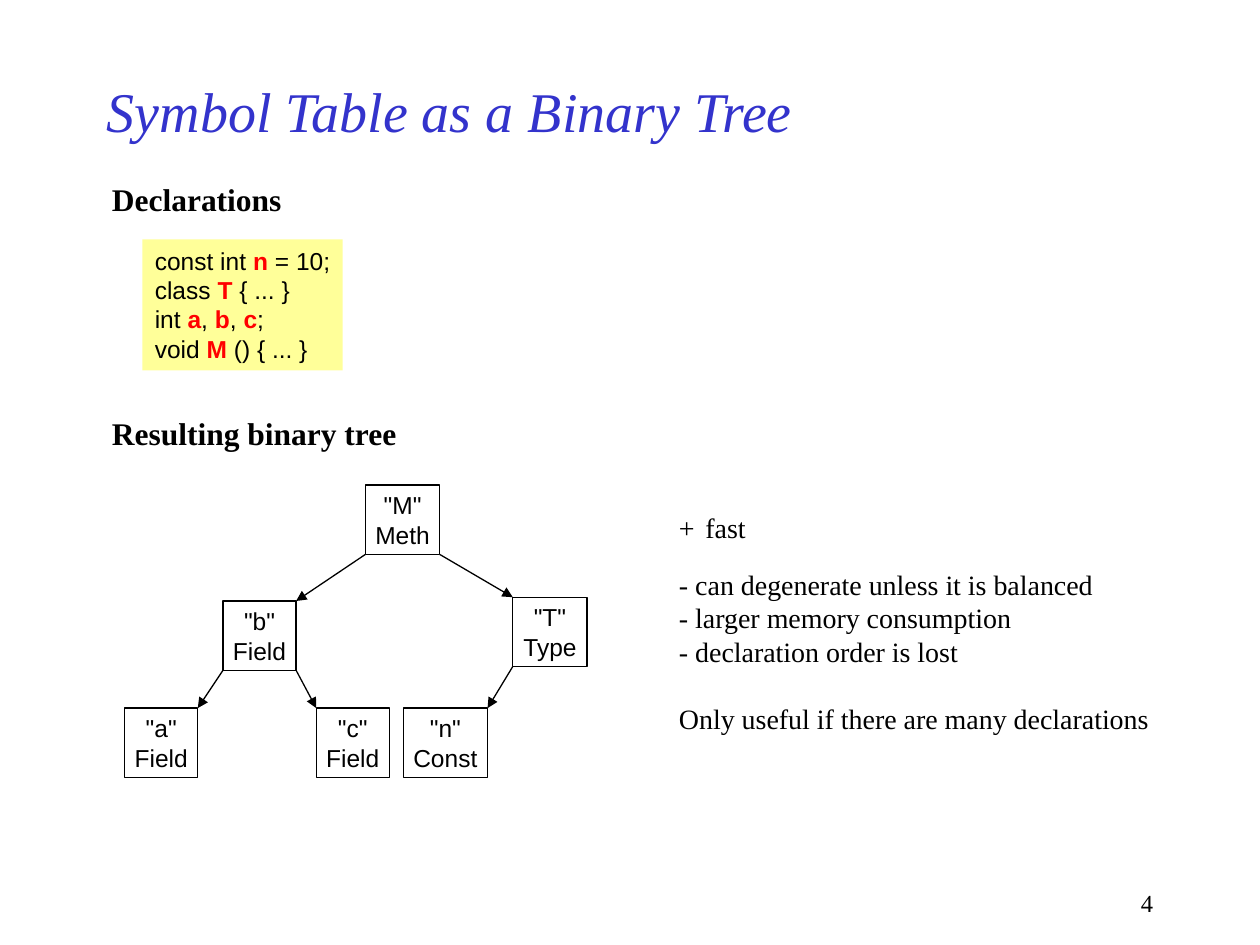
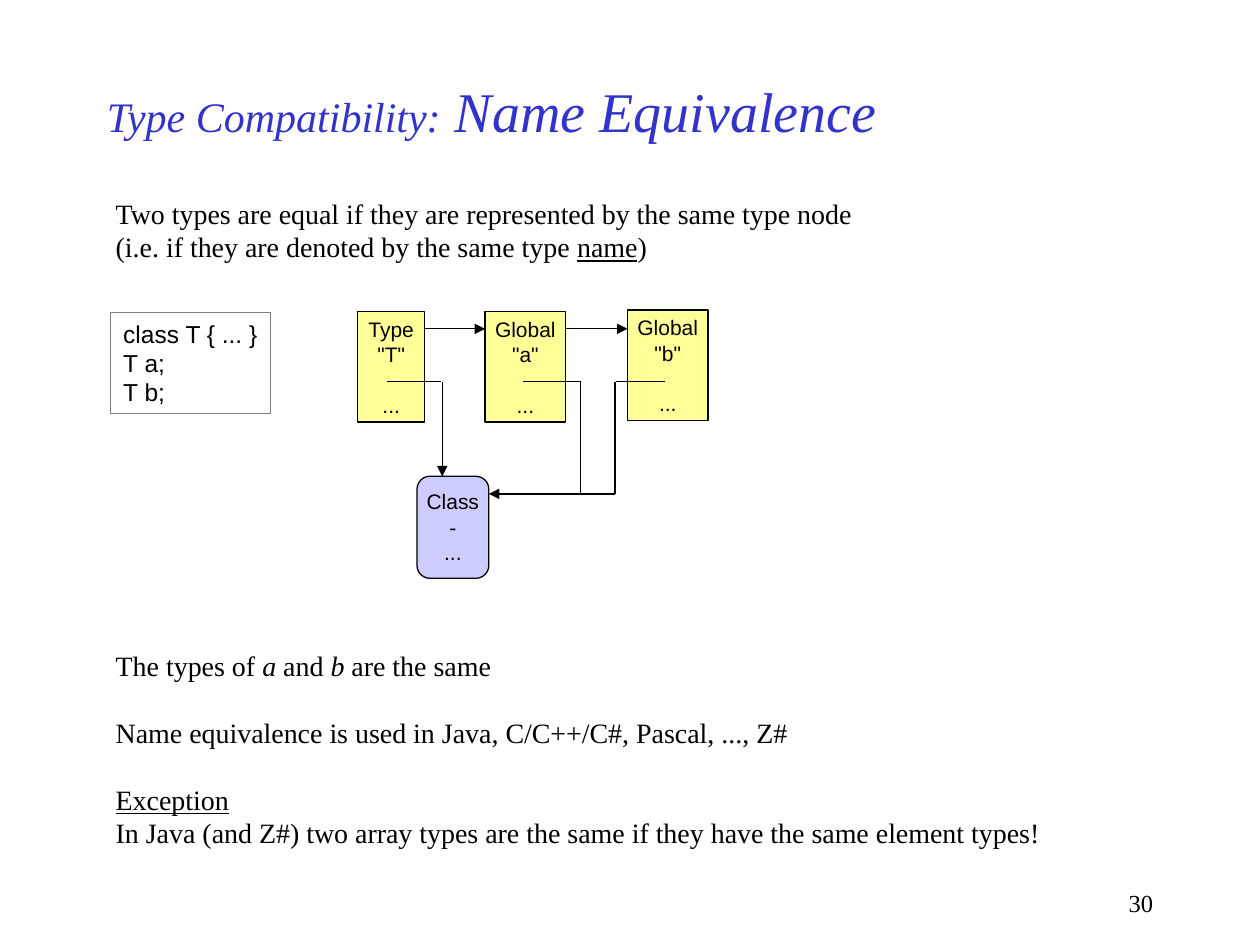
from lxml.etree import SubElement
from pptx import Presentation
from pptx.dml.color import RGBColor
from pptx.enum.shapes import MSO_CONNECTOR as Connector, MSO_SHAPE as Preset
from pptx.enum.text import MSO_ANCHOR as Anchor, PP_ALIGN as Align
from pptx.oxml.ns import qn
from pptx.util import Inches, Pt

WIDTH, HEIGHT = 10, 7.5
SERIF, SANS = "Times New Roman", "Arial"
COLORS = {"title": "3333CC", "text": "000000", "key": "FF0000", "code": "FFFF99",
          "class": "CCCCFF", "frame": "808080"}

KEY = {"bold": True, "color": "key"}
ITALIC = {"italic": True}
UNDERLINE = {"underline": True}
LARGE = {"size": 32}
HEADING = {"size": 18, "bold": True}
CODE = {"size": 14, "font": SANS}
NODE = {"size": 14, "font": SANS, "align": Align.CENTER, "insets": (0.08, 0.04)}
SYMBOL = {**NODE, "size": 12}

TREE_TITLE = ["Symbol Table as a Binary Tree"]
DECLARATIONS = [
    ["const int ", ("n", KEY), " = 10;"],
    ["class ", ("T", KEY), " { ... }"],
    ["int ", ("a", KEY), ", ", ("b", KEY), ", ", ("c", KEY), ";"],
    ["void ", ("M ", KEY), "() { ... }"],
]
ASSESSMENT = ["+\tfast", "- can degenerate unless it is balanced", "- larger memory consumption",
              "- declaration order is lost", "Only useful if there are many declarations"]
NODE_HEIGHT = 0.55
TREE_NODES = {
    "n": ("Const", 3.2, 5.62, 0.67),
    "M": ("Meth", 2.9, 3.85, 0.59),
    "b": ("Field", 1.77, 4.77, 0.58),
    "c": ("Field", 2.51, 5.62, 0.58),
    "a": ("Field", 0.99, 5.62, 0.58),
    "T": ("Type", 4.07, 4.74, 0.59),
}
TREE_EDGES = ["ba", "bc", "Tn", "Mb", "MT"]

NAME_TITLE = [["Type Compatibility:", (" Name Equivalence", LARGE)]]
RULE = ["Two types are equal if they are represented by the same type node",
        ["(i.e. if they are denoted by the same type ", ("name", UNDERLINE), ")"]]
CLASS_CODE = ["class T { ... }", "T a;", "T b;"]
CONCLUSIONS = [
    ["The types of ", ("a", ITALIC), " and ", ("b", ITALIC), " are the same"],
    "Name equivalence is used in Java, C/C++/C#, Pascal, ..., Z#",
    [("Exception", UNDERLINE)],
    "In Java (and Z#) two array types are the same if they have the same element types!",
]
SYMBOLS = [("Type", "T", 2.84, 2.47, 0.53), ("Global", "a", 3.85, 2.47, 0.64),
           ("Global", "b", 4.98, 2.46, 0.64)]
SYMBOL_HEIGHT = 0.88
CLASS_BOX = (3.31, 3.78, 0.57, 0.81)
NEXT_Y, TYPE_Y, JOIN_Y = 2.61, 3.03, 3.92
TYPE_LINKS = [
    [(3.07, TYPE_Y), (3.5, TYPE_Y)],
    [(3.51, TYPE_Y), (3.51, CLASS_BOX[1])],
    [(4.15, TYPE_Y), (4.61, TYPE_Y)],
    [(4.61, TYPE_Y), (4.61, JOIN_Y)],
    [(4.89, TYPE_Y), (5.28, TYPE_Y)],
    [(4.88, TYPE_Y), (4.88, JOIN_Y)],
    [(4.88, JOIN_Y), (3.88, JOIN_Y)],
]
ARROW_LINKS = (1, 6)


def rgb(name):
    return RGBColor.from_string(COLORS[name])


def format_run(run, size, font, color, bold=False, italic=False, underline=False):
    run.font.size = Pt(size)
    run.font.name = font
    run.font.color.rgb = rgb(color)
    run.font.bold, run.font.italic, run.font.underline = bold, italic, underline


def write(shape, lines, align=Align.LEFT, anchor=Anchor.TOP, insets=(0.1, 0.05), wrap=False,
          gaps=None, tab=None, size=16, font=SERIF, color="text", **style):
    frame = shape.text_frame
    frame.word_wrap = wrap
    frame.vertical_anchor = anchor
    frame.margin_left = frame.margin_right = Inches(insets[0])
    frame.margin_top = frame.margin_bottom = Inches(insets[1])
    for index, line in enumerate(lines):
        paragraph = frame.add_paragraph() if index else frame.paragraphs[0]
        paragraph.alignment = align
        paragraph.space_before = Pt((gaps or {}).get(index, 0))
        if tab:
            tabs = SubElement(paragraph._p.get_or_add_pPr(), qn("a:tabLst"))
            SubElement(tabs, qn("a:tab"), pos=str(Inches(tab)), algn="l")
        for piece in [line] if isinstance(line, str) else line:
            text, special = (piece, {}) if isinstance(piece, str) else piece
            run = paragraph.add_run()
            run.text = text
            format_run(run, **{"size": size, "font": font, "color": color, **style, **special})


def add_text(slide, box, lines, **style):
    write(slide.shapes.add_textbox(*map(Inches, box)), lines, wrap=True, **style)


def add_box(slide, box, lines, fill=None, line="text", preset=Preset.RECTANGLE, **style):
    shape = slide.shapes.add_shape(preset, *map(Inches, box))
    shape.shadow.inherit = False
    if fill:
        shape.fill.solid()
        shape.fill.fore_color.rgb = rgb(fill)
    else:
        shape.fill.background()
    if line:
        shape.line.color.rgb = rgb(line)
        shape.line.width = Pt(0.75)
    else:
        shape.line.fill.background()
    write(shape, lines, **style)
    return shape


def add_line(slide, start, end, arrow=True):
    line = slide.shapes.add_connector(Connector.STRAIGHT, *map(Inches, (*start, *end)))
    line.line.color.rgb = rgb("text")
    line.line.width = Pt(0.75)
    if arrow:
        SubElement(line.line._get_or_add_ln(), qn("a:tailEnd"), type="triangle")
    SubElement(line._element.spPr, qn("a:effectLst"))


def add_slide(presentation, title, number, title_size):
    slide = presentation.slides.add_slide(presentation.slide_layouts[6])
    add_text(slide, (0.075 * WIDTH, 0.5, 0.75 * WIDTH, 0.1 * HEIGHT), title, size=title_size,
             color="title", italic=True, anchor=Anchor.MIDDLE)
    add_text(slide, (7.17, 7, 2.08, 0.33), [str(number)], size=14, align=Align.RIGHT)
    return slide


def add_edge(slide, parent, child):
    _, parent_x, parent_y, parent_width = TREE_NODES[parent]
    _, child_x, child_y, child_width = TREE_NODES[child]
    bottom = parent_y + NODE_HEIGHT
    if child_x < parent_x:
        add_line(slide, (parent_x, bottom), (child_x + child_width, child_y))
    else:
        add_line(slide, (parent_x + parent_width, bottom), (child_x, child_y))


def build_tree_slide(presentation):
    slide = add_slide(presentation, TREE_TITLE, 4, 32)
    add_text(slide, (0.79, 1.38, 1.65, 0.4), ["Declarations"], **HEADING)
    add_box(slide, (1.13, 1.9, 1.59, 1.04), DECLARATIONS, fill="code", line=None, **CODE)
    add_text(slide, (0.79, 3.24, 2.6, 0.4), ["Resulting binary tree"], **HEADING)
    add_text(slide, (5.29, 4, 4.05, 1.89), ASSESSMENT, gaps={1: 13.5, 4: 19}, tab=0.21)
    for name, (kind, x, y, width) in TREE_NODES.items():
        add_box(slide, (x, y, width, NODE_HEIGHT), [f'"{name}"', kind], **NODE)
    for parent, child in TREE_EDGES:
        add_edge(slide, parent, child)


def build_name_slide(presentation):
    slide = add_slide(presentation, NAME_TITLE, 30, 24)
    add_text(slide, (0.82, 1.51, 6.2, 0.64), RULE)
    add_text(slide, (0.82, 5.1, 7.7, 1.7), CONCLUSIONS, gaps={1: 19, 2: 19})
    add_box(slide, (0.88, 2.48, 1.27, 0.8), CLASS_CODE, line="frame", **CODE)
    for kind, name, x, y, width in SYMBOLS:
        add_box(slide, (x, y, width, SYMBOL_HEIGHT), [kind, f'"{name}"', "..."], fill="code",
                gaps={2: 14.5}, **SYMBOL)
    class_box = add_box(slide, CLASS_BOX, ["Class", "-", "..."], fill="class",
                        preset=Preset.ROUNDED_RECTANGLE, **{**SYMBOL, "insets": (0, 0.07)})
    class_box.adjustments[0] = 0.18
    for (_, _, x, _, width), following in zip(SYMBOLS, SYMBOLS[1:]):
        add_line(slide, (x + width, NEXT_Y), (following[2], NEXT_Y))
    for index, (start, end) in enumerate(TYPE_LINKS):
        add_line(slide, start, end, arrow=index in ARROW_LINKS)


def main():
    presentation = Presentation()
    presentation.slide_width, presentation.slide_height = Inches(WIDTH), Inches(HEIGHT)
    build_tree_slide(presentation)
    build_name_slide(presentation)
    presentation.save("out.pptx")


if __name__ == "__main__":
    main()
